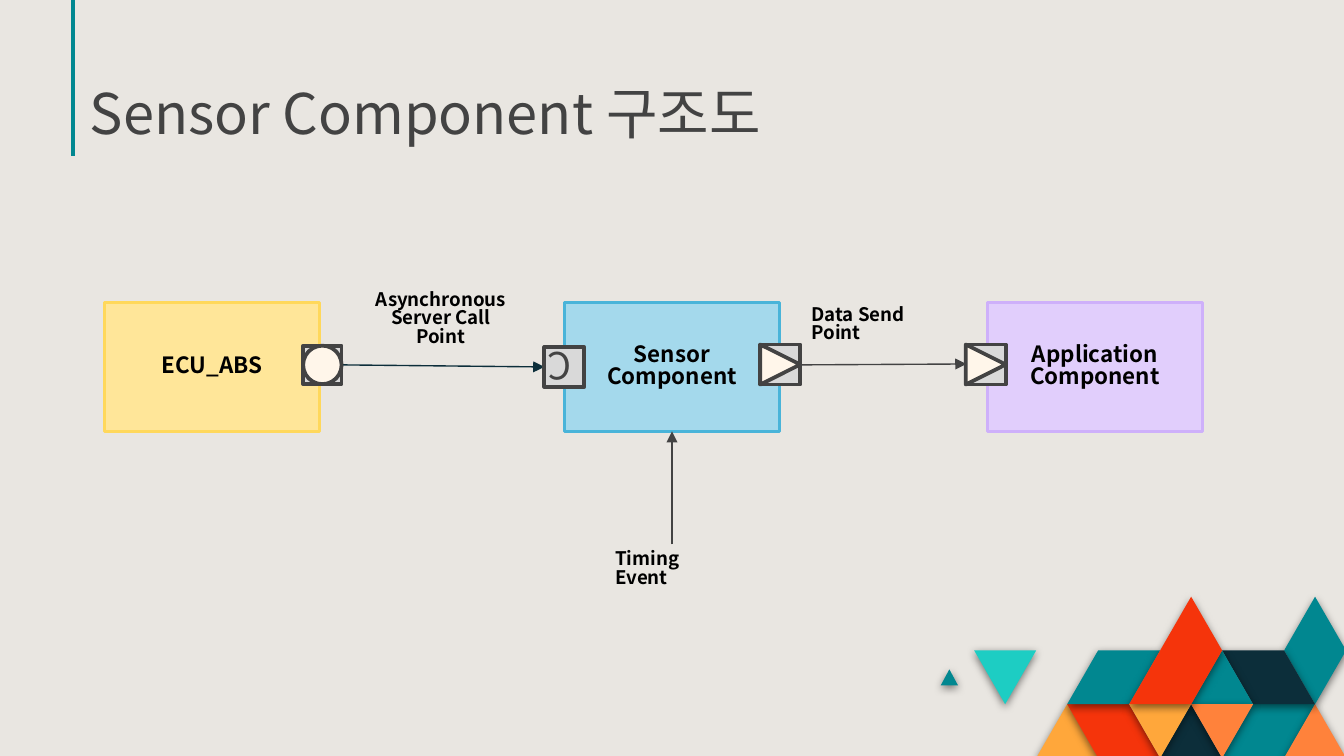
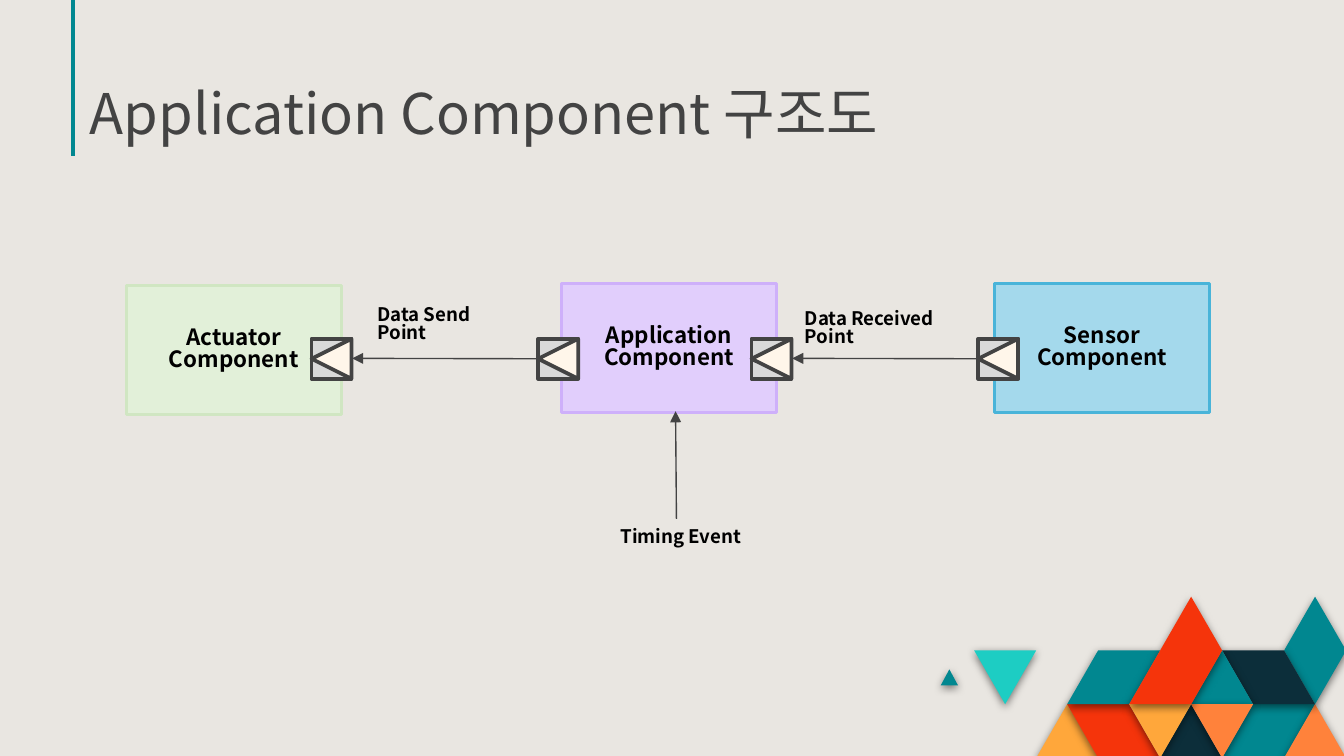
from lxml.etree import SubElement
from pptx import Presentation
from pptx.dml.color import RGBColor
from pptx.enum.shapes import MSO_CONNECTOR as CONN, MSO_SHAPE as SHAPE
from pptx.enum.text import MSO_ANCHOR as ANCHOR, MSO_AUTO_SIZE as AUTO, PP_ALIGN as ALIGN
from pptx.oxml.ns import qn
from pptx.util import Pt

FONT = "Noto Sans CJK KR"
COLORS = {
    "paper": "E9E6E1", "ink": "434343", "black": "000000",
    "teal": "018790", "aqua": "1DCDC3", "navy": "0C2E3A",
    "red": "F5340B", "orange": "FF823B", "amber": "FFA73B",
    "port": "D9D9D9", "cream": "FFF6EA",
    "yellow": "FFE699", "yellow_edge": "FFD85B",
    "blue": "A4D9EC", "blue_edge": "49B4D9",
    "violet": "E1CEFC", "violet_edge": "CEB0FA",
    "green": "E2F0D9", "green_edge": "D0E6C2",
}
BOX_W, BOX_H = 115.2, 69.1
PORT = 21.4

# Corner mosaic: vertices are (column, row) on a triangular lattice
LATTICE_X, LATTICE_Y, COL_W, ROW_H = 555.1, 319.7, 16.6, 28.8
TILES = [
    ("amber", [(0, 3), (1, 2), (2, 3)]),
    ("red", [(1, 2), (3, 2), (4, 3), (2, 3)]),
    ("teal", [(6, 3), (7, 2), (9, 2), (8, 3)]),
    ("orange", [(8, 3), (9, 2), (10, 3)]),
    ("navy", [(4, 3), (5, 2), (6, 3)]),
    ("teal", [(1, 2), (2, 1), (4, 1), (3, 2)]),
    ("teal", [(-3.08, 1.65), (-2.8, 1.35), (-2.52, 1.65)]),
    ("aqua", [(-2, 1), (0, 1), (-1, 2)]),
    ("teal", [(8, 1), (9, 0), (10, 1), (9, 2)]),
    ("navy", [(6, 1), (8, 1), (9, 2), (7, 2)]),
    ("teal", [(5, 2), (6, 1), (7, 2)]),
    ("orange", [(5, 2), (7, 2), (6, 3)]),
    ("amber", [(3, 2), (5, 2), (4, 3)]),
    ("red", [(3, 2), (5, 0), (6, 1), (5, 2)]),
]


def rgb(name):
    return RGBColor.from_string(COLORS[name])


def write(tf, text, size=10, color="black", bold=False, align=ALIGN.LEFT,
          anchor=ANCHOR.TOP, spacing=0.83):
    """Fill a text frame, one paragraph for each line of text."""
    tf.word_wrap = True
    tf.vertical_anchor = anchor
    for i, line in enumerate(text.split("\n")):
        p = tf.paragraphs[0] if i == 0 else tf.add_paragraph()
        p.alignment = align
        p.line_spacing = spacing
        r = p.add_run()
        r.text = line
        r.font.size = Pt(size)
        r.font.bold = bold
        r.font.color.rgb = rgb(color)
        r.font.name = FONT
        latin = r.font._element.find(qn("a:latin"))
        east = SubElement(r.font._element, qn("a:ea"), typeface=FONT)
        latin.addnext(east)


def add_shape(shapes, kind, x, y, w, h, fill, edge, width, rotation=0):
    sp = shapes.add_shape(kind, Pt(x), Pt(y), Pt(w), Pt(h))
    sp.shadow.inherit = False
    sp.fill.solid()
    sp.fill.fore_color.rgb = rgb(fill)
    sp.line.color.rgb = rgb(edge)
    sp.line.width = Pt(width)
    sp.rotation = rotation
    return sp


def add_line(slide, start, end, color="ink", width=0.75, arrow=True):
    line = slide.shapes.add_connector(CONN.STRAIGHT, *map(Pt, start + end))
    line.line.color.rgb = rgb(color)
    line.line.width = Pt(width)
    if arrow:
        SubElement(line.element.find(".//" + qn("a:ln")), qn("a:tailEnd"), type="triangle")
    SubElement(line.element.spPr, qn("a:effectLst"))
    return line


def add_tile(slide, color, vertices):
    points = [(Pt(LATTICE_X + c * COL_W), Pt(LATTICE_Y + r * ROW_H)) for c, r in vertices]
    outline = slide.shapes.build_freeform(*points[0])
    outline.add_line_segments(points[1:], close=True)
    sp = outline.convert_to_shape()
    sp.fill.solid()
    sp.fill.fore_color.rgb = rgb(color)
    sp.line.fill.background()
    sp.shadow.inherit = False
    effects = sp.element.spPr.find(qn("a:effectLst"))
    shadow = SubElement(effects, qn("a:outerShdw"), blurRad=str(Pt(4.5)), dist=str(Pt(1.5)),
                        dir="5400000", algn="bl", rotWithShape="0")
    tint = SubElement(shadow, qn("a:srgbClr"), val=COLORS["black"])
    SubElement(tint, qn("a:alpha"), val="50000")
    return sp


def prepare_layout(layout):
    """Keep only the title on the layout, and set its place and the background."""
    layout.background.fill.solid()
    layout.background.fill.fore_color.rgb = rgb("paper")
    title, *others = list(layout.placeholders)
    for ph in others:
        ph.element.getparent().remove(ph.element)
    title.left, title.top, title.width, title.height = map(Pt, (41, 36, 637.2, 45.4))


def decorate_layout(layout, slide):
    """Draw the rule and mosaic on a slide, then move them to its layout."""
    art = [add_line(slide, (38.9, -126), (38.9, 83.5), "teal", 2.25, arrow=False)]
    art += [add_tile(slide, *tile) for tile in TILES]
    for sp in art:
        layout.shapes.element.append(sp.element)


def add_title(slide, text):
    tf = slide.shapes.title.text_frame
    tf.auto_size = AUTO.NONE
    tf.margin_left = tf.margin_right = tf.margin_top = Pt(7.2)
    tf.margin_bottom = Pt(3.5)
    write(tf, text, size=30, color="ink", anchor=ANCHOR.BOTTOM, spacing=1)


def add_component(slide, x, y, text, hue):
    sp = add_shape(slide.shapes, SHAPE.RECTANGLE, x, y, BOX_W, BOX_H, hue, hue + "_edge", 1.5)
    write(sp.text_frame, text, size=12, bold=True, align=ALIGN.CENTER, anchor=ANCHOR.MIDDLE)


def add_port(slide, x, y, symbol, rotation=0, size=PORT):
    """Group a square port with the symbol that fills it."""
    group = slide.shapes.add_group_shape()
    for kind, fill, turn in ((SHAPE.RECTANGLE, "port", 0), (symbol, "cream", rotation)):
        add_shape(group.shapes, kind, x, y, size, size, fill, "ink", 2, turn)


def add_client_port(slide, x, y):
    sp = add_shape(slide.shapes, SHAPE.RECTANGLE, x, y, PORT, PORT, "port", "ink", 2, 180)
    write(sp.text_frame, "C", size=20, color="ink", align=ALIGN.CENTER,
          anchor=ANCHOR.MIDDLE, spacing=1)


def add_label(slide, x, y, w, h, text, align=ALIGN.LEFT):
    box = slide.shapes.add_textbox(Pt(x), Pt(y), Pt(w), Pt(h))
    write(box.text_frame, text, bold=True, align=align)


def sensor_slide(slide):
    add_title(slide, "Sensor Component 구조도")
    for x, text, hue in ((56, "ECU_ABS", "yellow"),
                         (302.4, "Sensor\nComponent", "blue"),
                         (529, "Application\nComponent", "violet")):
        add_component(slide, x, 162, text, hue)
    add_line(slide, (407.5, 195.6), (517.7, 195))
    add_line(slide, (360, 291.6), (360, 231.1))
    add_line(slide, (183, 195.5), (291.6, 196.6), color="navy")
    add_port(slide, 162.4, 185.2, SHAPE.OVAL, size=20.6)
    add_client_port(slide, 291.6, 185.9)
    for x in (407.3, 517.4):
        add_port(slide, x, 184.6, SHAPE.ISOSCELES_TRIANGLE, 90)
    add_label(slide, 322.6, 291.6, 74.9, 19.4, "Timing Event")
    add_label(slide, 427.7, 160.6, 90.7, 19.4, "Data Send Point")
    add_label(slide, 190.8, 152.6, 90.7, 31.7, "Asynchronous\nServer Call Point", ALIGN.CENTER)


def application_slide(slide):
    add_title(slide, "Application Component 구조도")
    for x, y, text, hue in ((532.8, 152, "Sensor\nComponent", "blue"),
                            (67.7, 153, "Actuator Component", "green"),
                            (300.8, 152, "Application\nComponent", "violet")):
        add_component(slide, x, y, text, hue)
    add_line(slide, (288.4, 192.2), (188.6, 192))
    add_line(slide, (524.5, 192.2), (424.4, 192))
    add_line(slide, (362.4, 278), (361.9, 220.3))
    for x in (166.9, 288.3, 402.6, 524):
        add_port(slide, x, 181.5, SHAPE.ISOSCELES_TRIANGLE, 270)
    add_label(slide, 424.1, 162.7, 108.7, 19.4, "Data Received Point")
    add_label(slide, 325.4, 279.4, 128.9, 19.4, "Timing Event")
    add_label(slide, 195.1, 160.6, 90, 19.4, "Data Send Point")


def main():
    prs = Presentation()
    prs.slide_width, prs.slide_height = Pt(720), Pt(405)
    layout = prs.slide_layouts[0]
    prepare_layout(layout)
    first, second = (prs.slides.add_slide(layout) for _ in range(2))
    decorate_layout(layout, first)
    sensor_slide(first)
    application_slide(second)
    prs.save("out.pptx")


if __name__ == "__main__":
    main()
